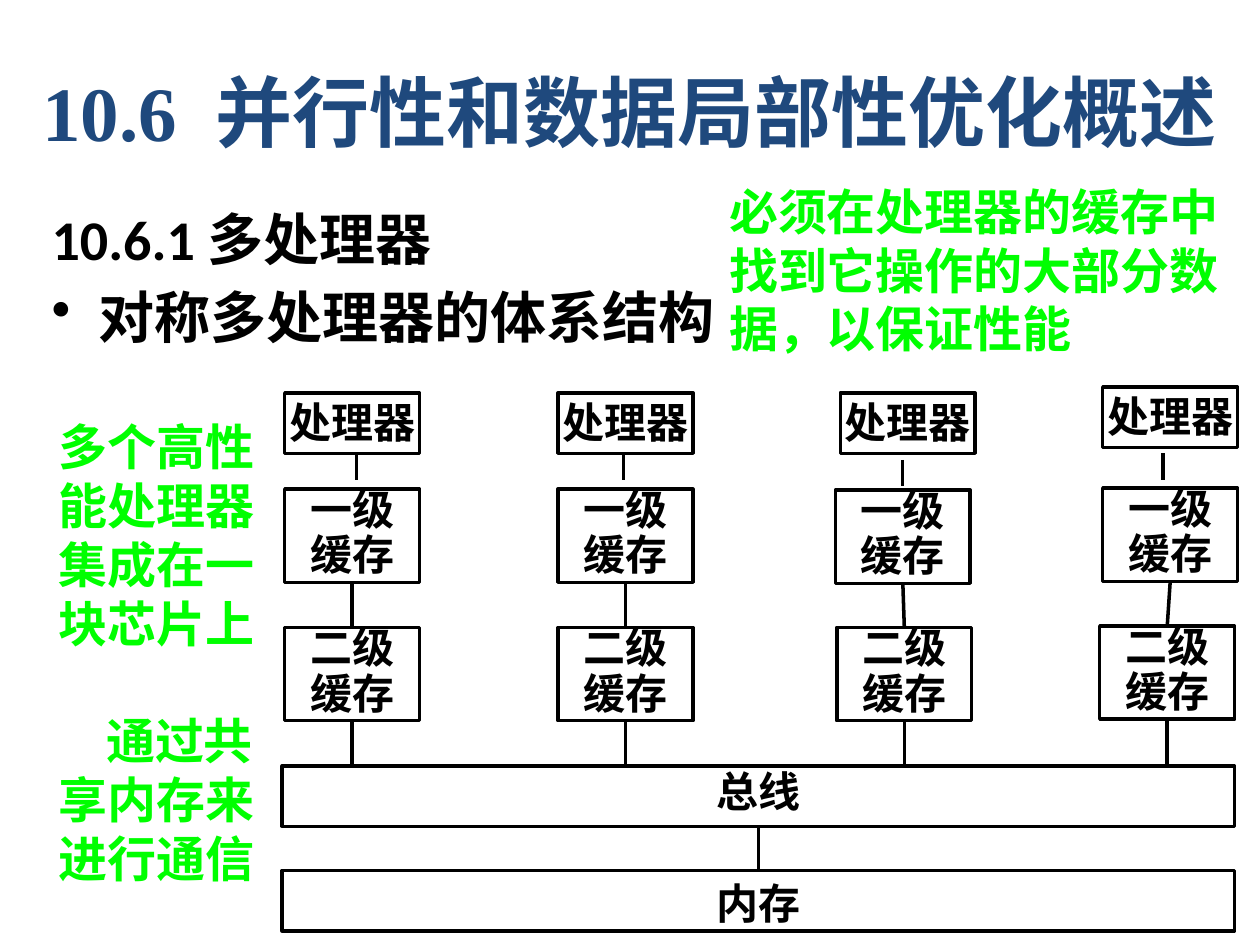
from dataclasses import dataclass

from lxml import etree
from pptx import Presentation
from pptx import util as u
from pptx.dml.color import RGBColor
from pptx.enum import shapes, text
from pptx.oxml import ns

SERIF = "Times New Roman"
BLACK, GREEN, NAVY = "000000", "00FF00", "1F497D"
CENTER, LEFT, JUSTIFY = text.PP_ALIGN.CENTER, text.PP_ALIGN.LEFT, text.PP_ALIGN.JUSTIFY
TOP, MIDDLE = text.MSO_ANCHOR.TOP, text.MSO_ANCHOR.MIDDLE
BOTTOM_SITE, TOP_SITE = 2, 0


@dataclass(frozen=True)
class Style:
    size: int
    color: str = BLACK
    font: str = SERIF
    align: text.PP_ALIGN = CENTER
    spacing: float | None = None


@dataclass(frozen=True)
class Level:
    """One row of equal boxes; lengths in cm."""
    lines: tuple[str, ...]
    height: float
    insets: tuple[float, float, float, float]
    places: tuple[tuple[float, float], ...]
    spacing: float | None = None
    width: float = 2.72


CACHE_INSETS = (0.15, 0, 0.15, 0.08)
PROCESSORS = Level(("处理器",), 1.22, (0.05, 0.08, 0.05, 0.08),
                   ((5.74, 7.92), (11.25, 7.92), (16.94, 7.92), (22.23, 7.8)))
LEVEL_ONE = Level(("一级", "缓存"), 1.88, CACHE_INSETS,
                  ((5.74, 9.86), (11.25, 9.86), (16.84, 9.88), (22.23, 9.84)), 0.9)
LEVEL_TWO = Level(("二级", "缓存"), 1.88, CACHE_INSETS,
                  ((5.74, 12.65), (11.25, 12.65), (16.87, 12.65), (22.17, 12.62)), 0.9)
BUS = Level(("总线",), 1.22, CACHE_INSETS, ((5.69, 15.44),), width=19.2)
MEMORY = Level(("内存",), 1.22, (0.15, 0.15, 0.15, 0.08), ((5.69, 17.55),), width=19.2)

# Short lines below the processors: x and top
STUBS = ((7.19, 9.14), (12.57, 9.14), (18.19, 9.27), (23.44, 9.14))
STUB_LENGTH = 0.53


def rgb(color: str) -> RGBColor:
    return RGBColor.from_string(color)


def write(box, lines: tuple[str, ...], style: Style, anchor=TOP) -> list:
    """Fill a box with one paragraph per line and return the paragraphs."""
    frame = box.text_frame
    frame.word_wrap = True
    frame.vertical_anchor = anchor
    frame.text = "\n".join(lines)
    for para in frame.paragraphs:
        para.alignment = style.align
        if style.spacing:
            para.line_spacing = style.spacing
        font = para.font
        font.name, font.size, font.bold = style.font, u.Pt(style.size), True
        font.color.rgb = rgb(style.color)
    return list(frame.paragraphs)


def add_text(page, place: tuple[float, ...], lines: tuple[str, ...], style: Style,
             anchor=TOP) -> list:
    box = page.shapes.add_textbox(*map(u.Cm, place))
    return write(box, lines, style, anchor)


def add_level(page, level: Level) -> list:
    boxes = []
    for left, top in level.places:
        box = page.shapes.add_shape(shapes.MSO_SHAPE.RECTANGLE, u.Cm(left), u.Cm(top),
                                    u.Cm(level.width), u.Cm(level.height))
        box.shadow.inherit = False
        box.fill.background()
        box.line.color.rgb = rgb(BLACK)
        box.line.width = u.Pt(2)
        frame = box.text_frame
        (frame.margin_left, frame.margin_top,
         frame.margin_right, frame.margin_bottom) = map(u.Cm, level.insets)
        write(box, level.lines, Style(24, spacing=level.spacing))
        boxes.append(box)
    return boxes


def add_line(page, x: int, top: int, bottom: int):
    line = page.shapes.add_connector(shapes.MSO_CONNECTOR.STRAIGHT, x, top, x, bottom)
    line.line.color.rgb = rgb(BLACK)
    line.line.width = u.Pt(2)
    etree.SubElement(line._element.spPr, ns.qn("a:effectLst"))
    return line


def join(page, upper, lower) -> None:
    """Join the bottom middle of one box to the top middle of another."""
    line = add_line(page, upper.left + upper.width // 2, upper.top + upper.height, lower.top)
    line.begin_connect(upper, BOTTOM_SITE)
    line.end_connect(lower, TOP_SITE)


def set_indent(para, left: float, first: float) -> None:
    props = para._p.get_or_add_pPr()
    props.set("marL", str(u.Cm(left)))
    props.set("indent", str(u.Cm(first)))


def add_bullet(para) -> None:
    set_indent(para, 0.95, -0.95)
    props = para._p.get_or_add_pPr()
    bullet = etree.Element(ns.qn("a:buChar"), char="•")
    defaults = props.find(ns.qn("a:defRPr"))
    defaults.addprevious(bullet)


def main() -> None:
    deck = Presentation()
    deck.slide_width, deck.slide_height = u.Cm(25.4), u.Cm(19.05)
    page = deck.slides.add_slide(deck.slide_layouts[6])

    # Heading and topic
    add_text(page, (0, 0.64, 25.4, 3.18), ("10.6  并行性和数据局部性优化概述",),
             Style(44, NAVY), MIDDLE)
    topic = add_text(page, (0.79, 3.99, 23.8, 14), ("10.6.1 多处理器", "对称多处理器的体系结构"),
                     Style(32, font="Calibri", align=JUSTIFY))
    topic[1].space_before = u.Pt(6.4)
    add_bullet(topic[1])

    # Processors, caches, bus and memory
    add_level(page, PROCESSORS)
    first_caches = add_level(page, LEVEL_ONE)
    second_caches = add_level(page, LEVEL_TWO)
    bus, = add_level(page, BUS)
    memory, = add_level(page, MEMORY)

    # Lines between the levels
    for x, top in STUBS:
        add_line(page, u.Cm(x), u.Cm(top), u.Cm(top + STUB_LENGTH))
    for first, second in zip(first_caches, second_caches):
        join(page, first, second)
        drop = add_line(page, second.left + second.width // 2,
                        second.top + second.height, bus.top)
        drop.begin_connect(second, BOTTOM_SITE)
    join(page, bus, memory)

    # Green remarks
    remark = Style(28, GREEN, align=LEFT)
    chip = add_text(page, (0.94, 8.28, 4.75, 10.01),
                    ("多个高性", "能处理器", "集成在一", "块芯片上",
                     "通过共", "享内存来", "进行通信"), remark)
    chip[4].space_before = u.Pt(33.5)
    set_indent(chip[4], 0.95, 0)
    add_text(page, (14.45, 3.53, 10.49, 3.76),
             ("必须在处理器的缓存中", "找到它操作的大部分数", "据，以保证性能"), remark)

    deck.save("out.pptx")


if __name__ == "__main__":
    main()
